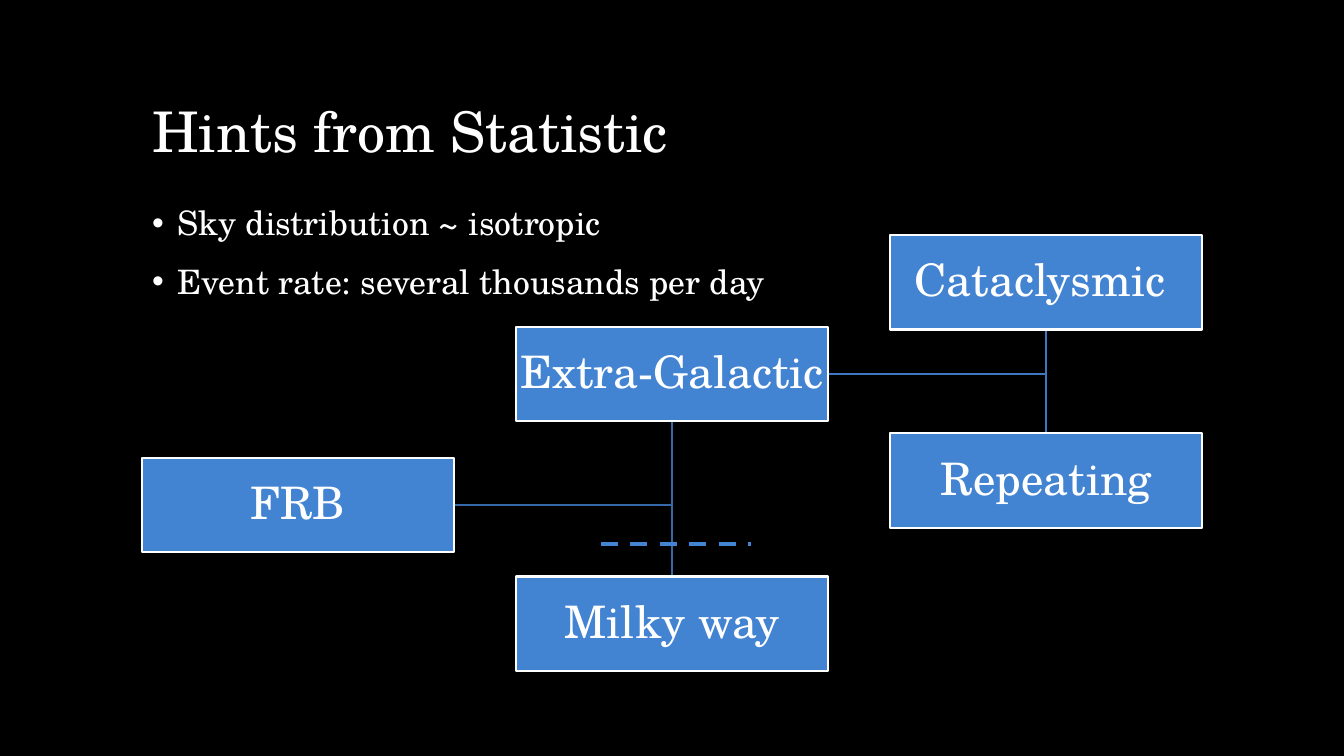
from dataclasses import dataclass

from lxml.etree import SubElement
from pptx import Presentation
from pptx.dml.color import RGBColor as RGB
from pptx.enum.dml import MSO_LINE as Dash
from pptx.enum.shapes import MSO_CONNECTOR as Conn, MSO_SHAPE as Shape
from pptx.enum.text import MSO_ANCHOR as Anchor, PP_ALIGN as Align
from pptx.oxml.ns import qn
from pptx.util import Inches, Pt


@dataclass(frozen=True)
class Theme:
    """Colours, type sizes and line widths of the slide."""
    back: RGB = RGB(0x00, 0x00, 0x00)
    text: RGB = RGB(0xFF, 0xFF, 0xFF)
    box: RGB = RGB(0x42, 0x83, 0xD2)
    root: RGB = RGB(0x35, 0x69, 0xA8)
    leaf: RGB = RGB(0x3C, 0x77, 0xBF)
    font: str = "TeX Gyre Schola"
    title: int = 40
    body: int = 24
    node: int = 32
    thin: float = 1.5
    thick: float = 3


THEME = Theme()
WIDTH, HEIGHT = 3.09, 0.94
LEFT, STEP = 1.41, 3.71
NODES = {
    "FRB": (0, 4.54),
    "Extra-Galactic": (1, 3.24),
    "Cataclysmic ": (2, 2.33),
    "Repeating": (2, 4.3),
    "Milky way": (1, 5.72),
}
LINKS = [
    ("FRB", "Milky way", THEME.root),
    ("Extra-Galactic", "Repeating", THEME.leaf),
    ("Extra-Galactic", "Cataclysmic ", THEME.leaf),
    ("FRB", "Extra-Galactic", THEME.root),
]


def write(frame, *lines, size, align=Align.LEFT, anchor=Anchor.TOP,
          inset=None, space=0.9, before=0, bullet=None):
    """Fill a text frame with one formatted paragraph per line."""
    frame.word_wrap = True
    frame.vertical_anchor = anchor
    if inset is not None:
        frame.margin_left = frame.margin_right = Inches(inset)
        frame.margin_top = frame.margin_bottom = Inches(inset)
    frame.text = "\n".join(lines)
    for para in frame.paragraphs:
        para.alignment = align
        para.line_spacing = space
        para.space_before = Pt(before)
        font = para.runs[0].font
        font.name, font.size = THEME.font, Pt(size)
        font.color.rgb = THEME.text
        if bullet:
            mark(para, bullet)


def mark(para, bullet):
    """Give a paragraph a hanging bullet."""
    props = para._p.get_or_add_pPr()
    props.set("marL", str(Inches(0.25)))
    props.set("indent", str(Inches(-0.25)))
    SubElement(props, qn("a:buFont")).set("typeface", "Arial")
    SubElement(props, qn("a:buChar")).set("char", bullet)


def label(slide, top, height, *lines, **style):
    """Add a text box in the main column."""
    box = slide.shapes.add_textbox(
        Inches(LEFT), Inches(top), Inches(10.5), Inches(height))
    write(box.text_frame, *lines, **style)


def place(name):
    """Return the left and top of a node in inches."""
    level, top = NODES[name]
    return LEFT + level * STEP, top


def link(slide, start, end, color):
    """Draw an elbow from a node's right side to the facing edge of another."""
    left, top = place(start)
    x, y = left + WIDTH, top + HEIGHT / 2
    left, top = place(end)
    mid = left + WIDTH / 2
    stop = top if top > y else top + HEIGHT
    pen = slide.shapes.build_freeform(Inches(x), Inches(y))
    pen.add_line_segments(
        [(Inches(mid), Inches(y)), (Inches(mid), Inches(stop))], close=False)
    elbow = pen.convert_to_shape()
    elbow.shadow.inherit = False
    elbow.fill.background()
    elbow.line.color.rgb = color
    elbow.line.width = Pt(THEME.thin)


def node(slide, name):
    """Draw a named box of the tree."""
    left, top = place(name)
    box = slide.shapes.add_shape(
        Shape.RECTANGLE, Inches(left), Inches(top),
        Inches(WIDTH), Inches(HEIGHT))
    box.shadow.inherit = False
    box.fill.solid()
    box.fill.fore_color.rgb = THEME.box
    box.line.color.rgb = THEME.text
    box.line.width = Pt(THEME.thin)
    write(box.text_frame, name, size=THEME.node, align=Align.CENTER,
          anchor=Anchor.MIDDLE, inset=0.02)


def cut(slide, left, right, y):
    """Draw the dashed line across a branch."""
    line = slide.shapes.add_connector(
        Conn.STRAIGHT, Inches(left), Inches(y), Inches(right), Inches(y))
    line.line.color.rgb = THEME.box
    line.line.width = Pt(THEME.thick)
    line.line.dash_style = Dash.DASH
    SubElement(line._element.spPr, qn("a:effectLst"))


def main():
    """Build and save the slide."""
    deck = Presentation()
    deck.slide_width, deck.slide_height = Inches(13.33), Inches(7.5)
    slide = deck.slides.add_slide(deck.slide_layouts[6])
    slide.background.fill.solid()
    slide.background.fill.fore_color.rgb = THEME.back
    label(slide, 0.42, 1.25, "Hints from Statistic", size=THEME.title,
          anchor=Anchor.BOTTOM, space=0.8)
    label(slide, 2, 4.75, "Sky distribution ~ isotropic",
          "Event rate: several thousands per day",
          size=THEME.body, before=16, bullet="•")
    for start, end, color in LINKS:
        link(slide, start, end, color)
    for name in NODES:
        node(slide, name)
    cut(slide, 5.96, 7.45, 5.4)
    deck.save("out.pptx")


if __name__ == "__main__":
    main()
